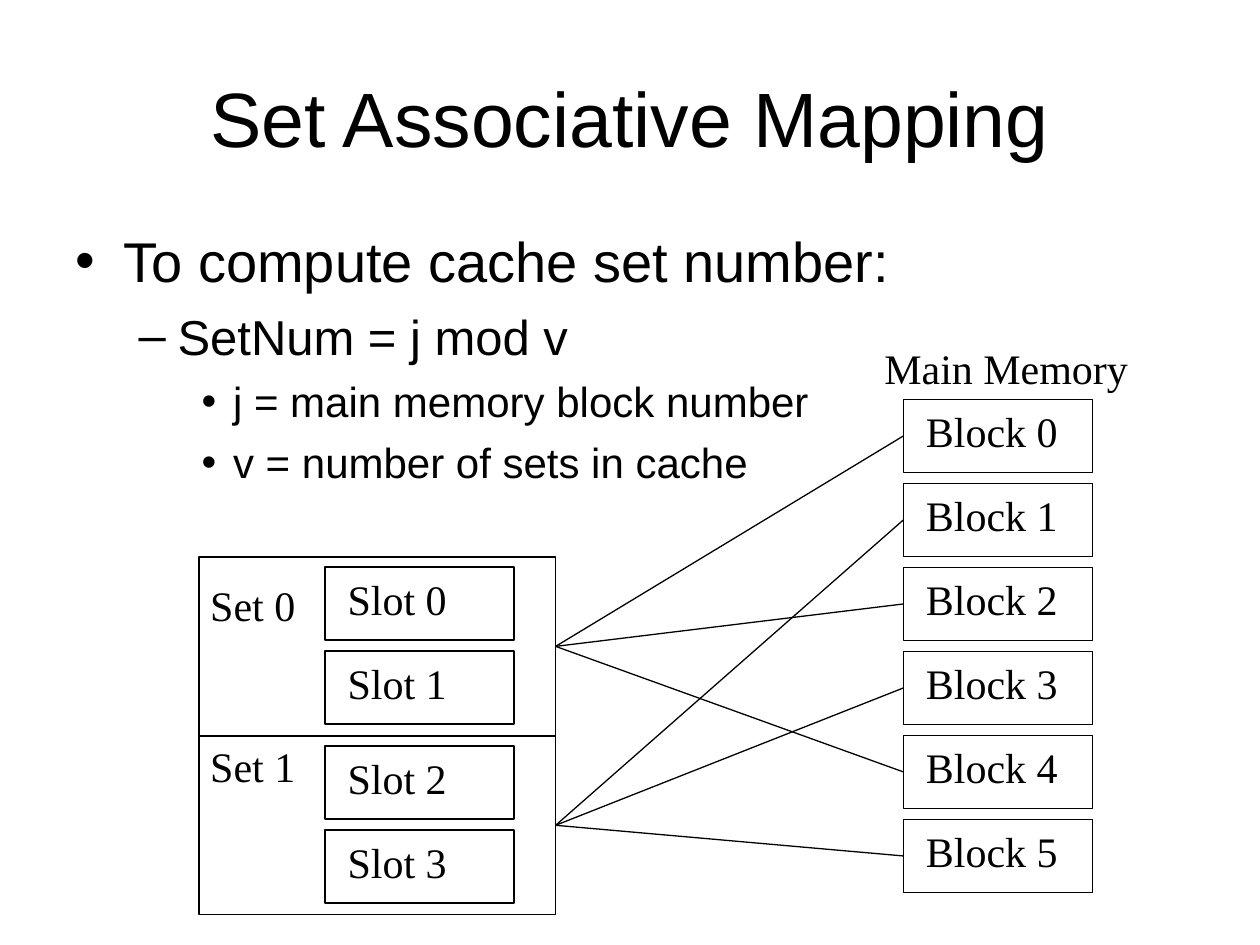
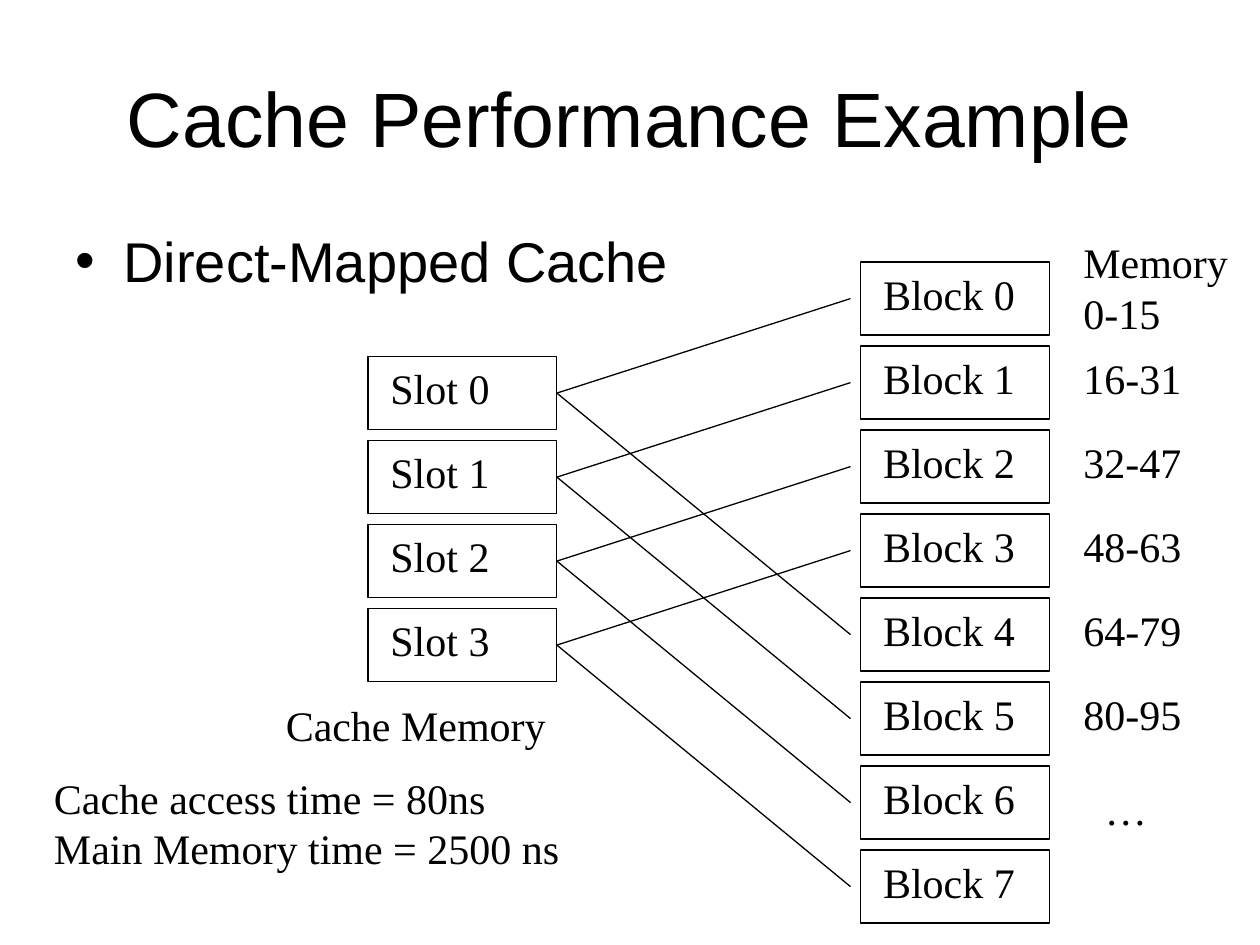
from dataclasses import dataclass

from lxml.etree import SubElement
from pptx import Presentation
from pptx.dml.color import RGBColor
from pptx.enum.shapes import MSO_CONNECTOR, MSO_SHAPE
from pptx.enum.text import MSO_ANCHOR, MSO_AUTO_SIZE, PP_ALIGN
from pptx.oxml.ns import qn
from pptx.util import Inches, Pt


@dataclass(frozen=True)
class Theme:
    ink: RGBColor = RGBColor(0, 0, 0)
    paper: RGBColor = RGBColor(255, 255, 255)
    heading_font: str = "Arial"
    diagram_font: str = "Times New Roman"
    title_size: int = 44
    diagram_size: int = 24
    line_width: float = 0.75


@dataclass(frozen=True)
class Level:
    size: int
    indent: float
    hanging: float
    space_before: int
    bullet: str


@dataclass(frozen=True)
class Label:
    lines: tuple[str, ...]
    left: float
    top: float
    width: float


@dataclass(frozen=True)
class Stack:
    """A column of numbered boxes."""
    name: str
    left: float
    top: float
    count: int
    label_width: float
    first: int = 0


THEME = Theme()
LEVELS = (
    Level(32, 0.38, 0.38, 8, "•"),
    Level(28, 0.81, 0.31, 7, "–"),
    Level(24, 1.25, 0.25, 6, "•"),
)
BOX_WIDTH, BOX_HEIGHT, PITCH = 1.5, 0.58, 2 / 3
LABEL_OFFSET, LABEL_HEIGHT = 0.08, 0.5
BLOCK_LABEL, SLOT_LABEL = 1.32, 1.05
LEFT_SIDE, RIGHT_SIDE = 1, 3


def apply_format(target, values: dict) -> None:
    for name, value in values.items():
        setattr(target, name, value)


def write(para, text: str, font: str, size: int) -> None:
    span = para.add_run()
    span.text = text
    apply_format(span.font, {"name": font, "size": Pt(size)})
    span.font.color.rgb = THEME.ink


def place(shape, left: float, top: float, width: float, height: float) -> None:
    apply_format(shape, {"left": Inches(left), "top": Inches(top),
                         "width": Inches(width), "height": Inches(height)})


def set_bullet(para, level: Level) -> None:
    properties = para._p.get_or_add_pPr()
    properties.set("marL", str(Inches(level.indent)))
    properties.set("indent", str(-Inches(level.hanging)))
    SubElement(properties, qn("a:buFont"), typeface=THEME.heading_font)
    SubElement(properties, qn("a:buChar"), char=level.bullet)


def add_page(deck, title: str, points: list[tuple[int, str]]):
    """Add a slide with its title and bulleted list."""
    page = deck.slides.add_slide(deck.slide_layouts[1])
    page.background.fill.solid()
    page.background.fill.fore_color.rgb = THEME.paper
    heading, body = page.shapes.title, page.placeholders[1]
    place(heading, 0.5, 0.3, 9, 1.25)
    place(body, 0.5, 1.75, 9, 4.95)
    for shape, anchor in ((heading, MSO_ANCHOR.MIDDLE), (body, MSO_ANCHOR.TOP)):
        apply_format(shape.text_frame, {"auto_size": MSO_AUTO_SIZE.NONE,
                                        "vertical_anchor": anchor})

    para = heading.text_frame.paragraphs[0]
    para.alignment = PP_ALIGN.CENTER
    write(para, title, THEME.heading_font, THEME.title_size)

    frame = body.text_frame
    for index, (depth, text) in enumerate(points):
        para = frame.add_paragraph() if index else frame.paragraphs[0]
        level = LEVELS[depth]
        apply_format(para, {"level": depth, "space_before": Pt(level.space_before)})
        set_bullet(para, level)
        write(para, text, THEME.heading_font, level.size)
    return page


def add_box(page, left: float, top: float, width: float, height: float):
    box = page.shapes.add_shape(MSO_SHAPE.RECTANGLE, Inches(left), Inches(top),
                                Inches(width), Inches(height))
    box.shadow.inherit = False
    box.fill.background()
    box.line.color.rgb = THEME.ink
    box.line.width = Pt(THEME.line_width)
    return box


def add_label(page, label: Label) -> None:
    height = LABEL_HEIGHT + 0.4 * (len(label.lines) - 1)
    box = page.shapes.add_textbox(Inches(label.left), Inches(label.top),
                                  Inches(label.width), Inches(height))
    frame = box.text_frame
    apply_format(frame, {"word_wrap": True,
                         "auto_size": MSO_AUTO_SIZE.SHAPE_TO_FIT_TEXT})
    for index, text in enumerate(label.lines):
        para = frame.add_paragraph() if index else frame.paragraphs[0]
        write(para, text, THEME.diagram_font, THEME.diagram_size)


def add_stack(page, stack: Stack) -> list:
    boxes = []
    for row in range(stack.count):
        top = stack.top + row * PITCH
        boxes.append(add_box(page, stack.left, top, BOX_WIDTH, BOX_HEIGHT))
        add_label(page, Label((f"{stack.name} {stack.first + row}",),
                              stack.left + LABEL_OFFSET, top, stack.label_width))
    return boxes


def add_link(page, source, target, gap: float = 0) -> None:
    """Join the right side of source to target, or stop a gap short of it."""
    end_x = target.left - Inches(gap)
    end_y = target.top + target.height // 2
    link = page.shapes.add_connector(MSO_CONNECTOR.STRAIGHT, source.left + source.width,
                                     source.top + source.height // 2, end_x, end_y)
    link.begin_connect(source, RIGHT_SIDE)
    if not gap:
        link.end_connect(target, LEFT_SIDE)
    link.line.color.rgb = THEME.ink
    link.line.width = Pt(THEME.line_width)
    SubElement(link._element.spPr, qn("a:effectLst"))


def build_set_associative(deck) -> None:
    page = add_page(deck, "Set Associative Mapping", [
        (0, "To compute cache set number:"),
        (1, "SetNum = j mod v"),
        (2, "j = main memory block number"),
        (2, "v = number of sets in cache"),
    ])
    # Main memory
    blocks = add_stack(page, Stack("Block", 7.17, 3.17, 6, BLOCK_LABEL))
    add_label(page, Label(("Main Memory",), 6.92, 2.67, 2.25))

    # Cache sets, each with two slots
    set_height = 1.42
    sets = []
    for number, label_top in enumerate((4.55, 5.83)):
        top = 4.42 + number * set_height
        sets.append(add_box(page, 1.58, top, 2.83, set_height))
        add_label(page, Label((f"Set {number}",), 1.57, label_top, 0.95))
        add_stack(page, Stack("Slot", 2.58, top + 0.08, 2, SLOT_LABEL, first=2 * number))

    # Block j belongs to set j mod v
    for number, block in enumerate(blocks):
        add_link(page, sets[number % len(sets)], block)


def build_performance_example(deck) -> None:
    page = add_page(deck, "Cache Performance Example", [(0, "Direct-Mapped Cache")])

    # Main memory and its address ranges
    memory = Stack("Block", 6.83, 2.08, 8, BLOCK_LABEL)
    blocks = add_stack(page, memory)
    add_label(page, Label(("Memory", "0-15"), 8.5, 1.83, 1.42))
    for number in range(1, 6):
        addresses = f"{16 * number}-{16 * number + 15}"
        add_label(page, Label((addresses,), 8.5, memory.top + number * PITCH, 1.05))
    add_label(page, Label(("…",), 8.67, 6.17, 0.6))

    # Cache
    slots = add_stack(page, Stack("Slot", 2.92, 2.83, 4, SLOT_LABEL))
    add_label(page, Label(("Cache Memory",), 2.17, 5.5, 2.33))
    add_label(page, Label(("Cache access time = 80ns", "Main Memory time = 2500 ns"),
                          0.33, 6.08, 4.55))

    # Each block maps to one slot
    for number, block in enumerate(blocks):
        add_link(page, slots[number % len(slots)], block, gap=0.08)


def main() -> None:
    deck = Presentation()
    apply_format(deck, {"slide_width": Inches(10), "slide_height": Inches(7.5)})
    build_set_associative(deck)
    build_performance_example(deck)
    deck.save("out.pptx")


if __name__ == "__main__":
    main()
